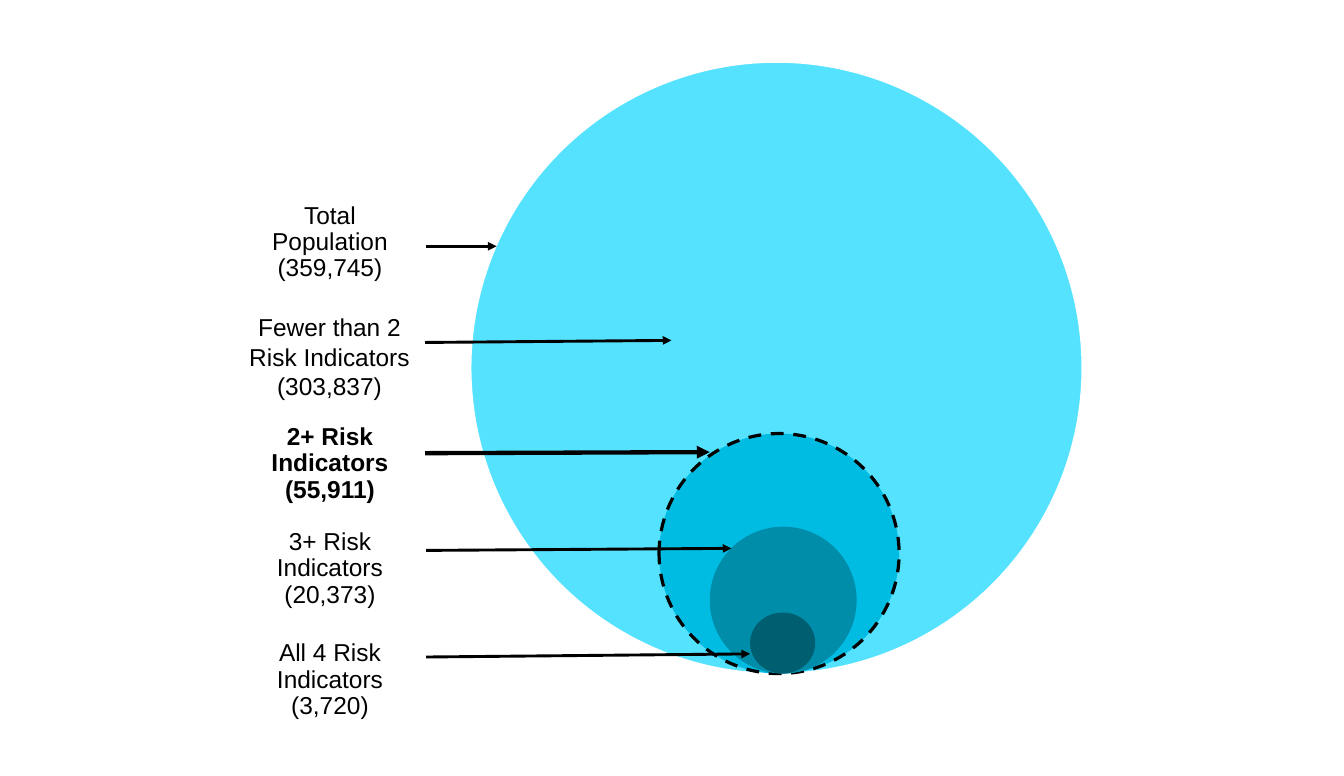
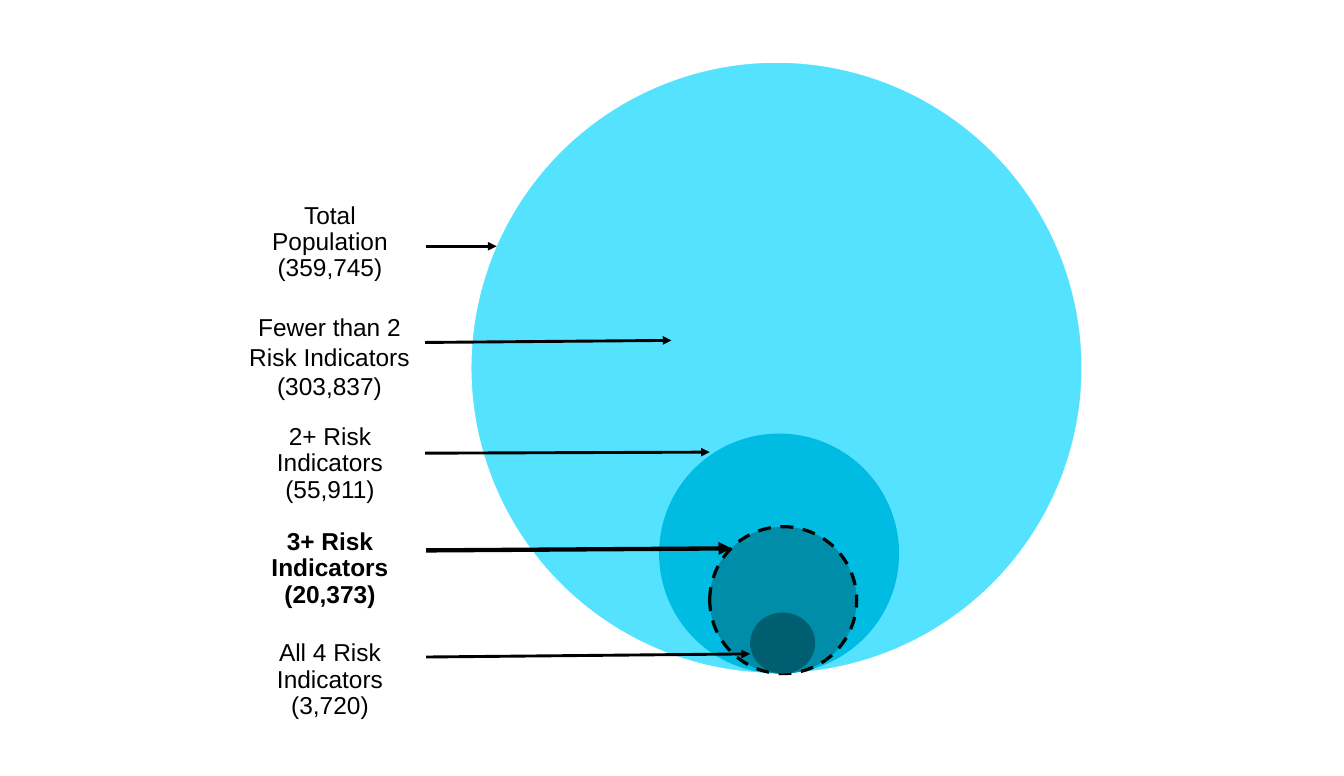
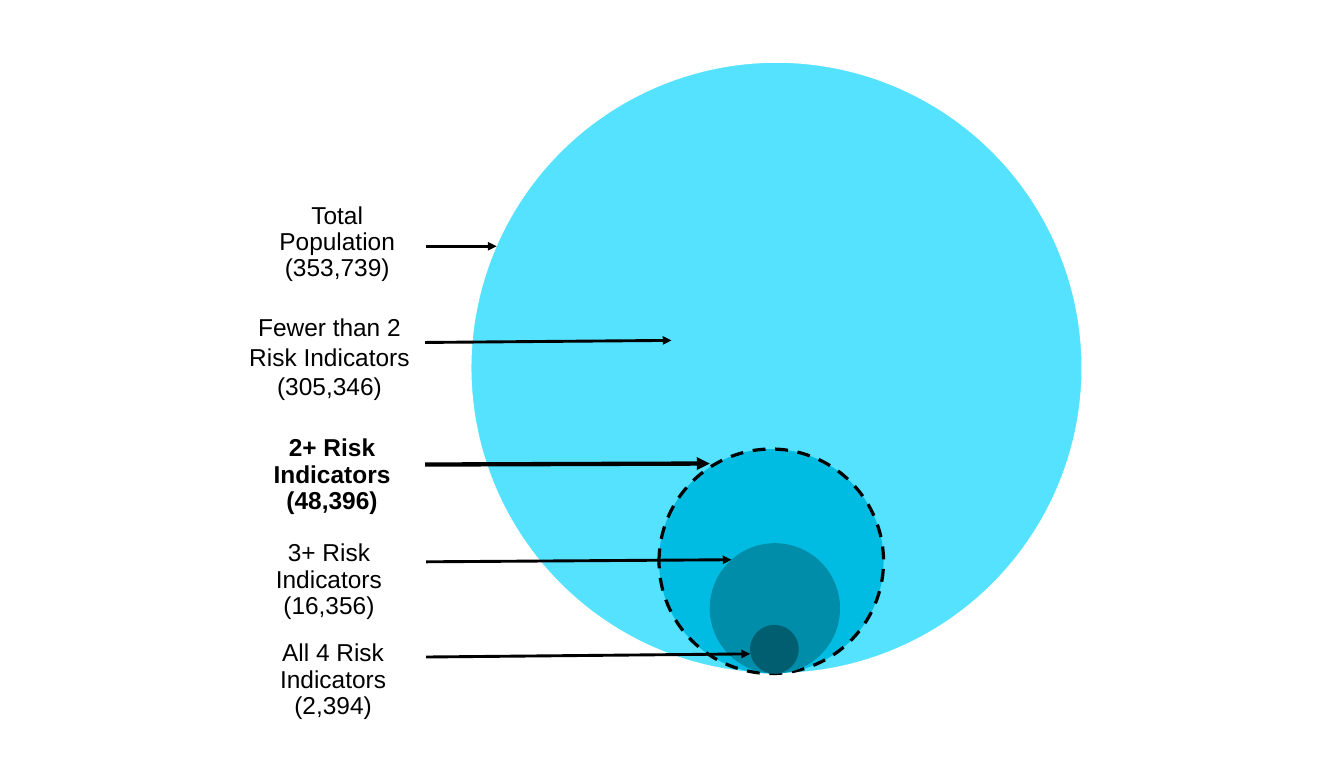
from dataclasses import dataclass

from lxml.etree import SubElement
from pptx import Presentation
from pptx.dml.color import RGBColor as RGB
from pptx.enum.dml import MSO_LINE_DASH_STYLE as Dash
from pptx.enum.shapes import MSO_CONNECTOR as Conn, MSO_SHAPE as Geo
from pptx.enum.text import MSO_ANCHOR as Anchor, PP_ALIGN as Align
from pptx.oxml.ns import qn
from pptx.slide import Slide
from pptx.util import Inches, Pt


@dataclass(frozen=True)
class Theme:
    font: str = "Arial"
    size: float = 17
    ink: str = "000000"
    paper: str = "FFFFFF"
    rings: tuple[str, ...] = ("55E2FF", "00BCE2", "008DAA", "005E71")
    edge: float = 1
    dash: float = 2.25
    thin: float = 2
    thick: float = 3


@dataclass(frozen=True)
class Level:
    label: str
    top: float
    width: float
    height: float
    pads: tuple[float, float]
    start: tuple[float, float]
    end: tuple[float, float]
    moves: bool = False
    space: float | None = 0.9
    anchor: Anchor = Anchor.MIDDLE


@dataclass(frozen=True)
class Ring:
    left: float
    width: float
    height: float


@dataclass(frozen=True)
class Case:
    counts: tuple[str, ...]
    lefts: tuple[float, ...]
    rings: tuple[Ring, ...]
    focus: int
    shift: float = 0


THEME = Theme()
BASE = 6.51

LEVELS = (
    Level("Total Population", 1.9, 1.66, 0.89, (0.15, 0.15),
          (4.12, 2.38), (4.8, 2.38)),
    Level("Fewer than 2 Risk Indicators", 2.97, 2.05, 0.77, (0.1, 0.05),
          (4.11, 3.31), (6.49, 3.29), space=None, anchor=Anchor.TOP),
    Level("2+ Risk Indicators", 4.06, 1.66, 0.85, (0.13, 0.13),
          (4.11, 4.38), (6.86, 4.37), moves=True),
    Level("3+ Risk Indicators", 5.1, 1.66, 0.8, (0.13, 0.13),
          (4.12, 5.32), (7.07, 5.3), moves=True),
    Level("All 4 Risk Indicators", 5.98, 1.68, 1.19, (0.13, 0.13),
          (4.12, 6.35), (7.25, 6.32)),
)

WHOLE = Ring(4.55, 5.91, 5.91)
FIRST = ("359,745", "303,837", "55,911", "20,373", "3,720")
LAST = ("353,739", "305,346", "48,396", "16,356", "2,394")
LEFTS = (2.36, 2.16, 2.36, 2.36, 2.35)
WIDE = (WHOLE, Ring(6.37, 2.32, 2.32), Ring(6.86, 1.42, 1.42),
        Ring(7.25, 0.63, 0.59))
SLIM = (WHOLE, Ring(6.37, 2.17, 2.17), Ring(6.86, 1.26, 1.26),
        Ring(7.25, 0.47, 0.47))

CASES = (
    Case(FIRST, LEFTS, WIDE, focus=2),
    Case(FIRST, LEFTS, WIDE, focus=3),
    Case(LAST, (2.43, 2.16, 2.38, 2.35, 2.38), SLIM, focus=2, shift=0.11),
)


def add_text(slide: Slide, lines: tuple[str, ...], *, left: float, top: float,
             width: float, height: float, pads: tuple[float, float],
             anchor: Anchor, space: float | None, bold: bool) -> None:
    box = slide.shapes.add_textbox(
        Inches(left), Inches(top), Inches(width), Inches(height))
    frame = box.text_frame
    frame.word_wrap = True
    frame.vertical_anchor = anchor
    frame.margin_left = frame.margin_right = Inches(pads[0])
    frame.margin_top = frame.margin_bottom = Inches(pads[1])
    frame.text = "\n".join(lines)
    for para in frame.paragraphs:
        para.alignment = Align.CENTER
        para.line_spacing = space
        for run in para.runs:
            run.font.name = THEME.font
            run.font.size = Pt(THEME.size)
            run.font.bold = bold
            run.font.color.rgb = RGB.from_string(THEME.ink)


def add_ring(slide: Slide, ring: Ring, fill: str, edge: bool,
             dash: bool) -> None:
    oval = slide.shapes.add_shape(
        Geo.OVAL, Inches(ring.left), Inches(BASE - ring.height),
        Inches(ring.width), Inches(ring.height))
    oval.shadow.inherit = False
    oval.fill.solid()
    oval.fill.fore_color.rgb = RGB.from_string(fill)
    if dash:
        oval.line.color.rgb = RGB.from_string(THEME.ink)
        oval.line.width = Pt(THEME.dash)
        oval.line.dash_style = Dash.DASH
    elif edge:
        oval.line.color.rgb = RGB.from_string(THEME.paper)
        oval.line.width = Pt(THEME.edge)
    else:
        oval.line.fill.background()


def add_arrow(slide: Slide, level: Level, drop: float, bold: bool) -> None:
    (left, top), (right, low) = level.start, level.end
    arrow = slide.shapes.add_connector(
        Conn.STRAIGHT, Inches(left), Inches(top + drop),
        Inches(right), Inches(low + drop))
    arrow.line.color.rgb = RGB.from_string(THEME.ink)
    arrow.line.width = Pt(THEME.thick if bold else THEME.thin)
    props = arrow.element.spPr
    SubElement(props.find(qn("a:ln")), qn("a:tailEnd"), type="triangle")
    SubElement(props, qn("a:effectLst"))


def add_case(slide: Slide, case: Case) -> None:
    for rank, (ring, fill) in enumerate(zip(case.rings, THEME.rings)):
        add_ring(slide, ring, fill, edge=rank == 0,
                 dash=rank == case.focus - 1)
    for rank, level in enumerate(LEVELS):
        drop = case.shift if level.moves else 0
        bold = rank == case.focus
        add_arrow(slide, level, drop, bold)
        add_text(slide, (level.label, f"({case.counts[rank]})"),
                 left=case.lefts[rank], top=level.top + drop,
                 width=level.width, height=level.height, pads=level.pads,
                 anchor=level.anchor, space=level.space, bold=bold)


def main() -> None:
    deck = Presentation()
    deck.slide_width = Inches(12.99)
    deck.slide_height = Inches(7.5)
    for case in CASES:
        add_case(deck.slides.add_slide(deck.slide_layouts[6]), case)
    deck.save("out.pptx")


main()
